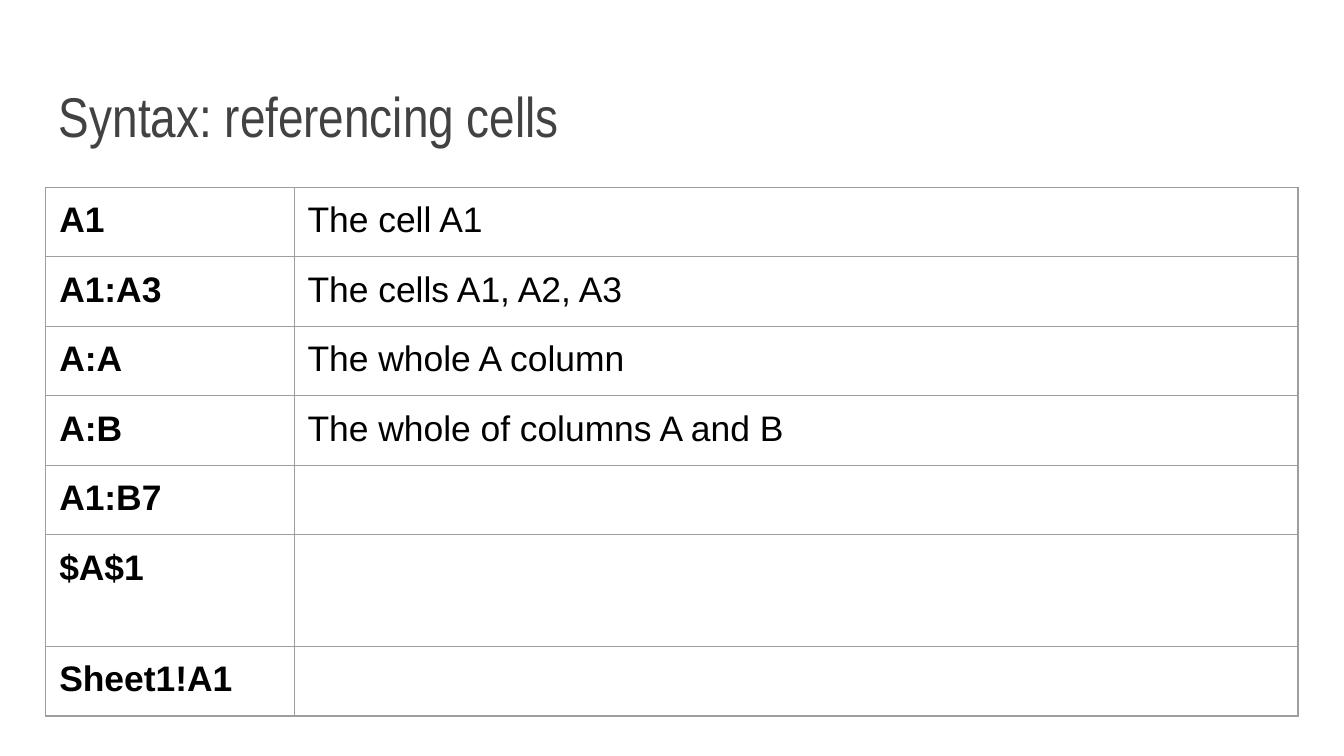
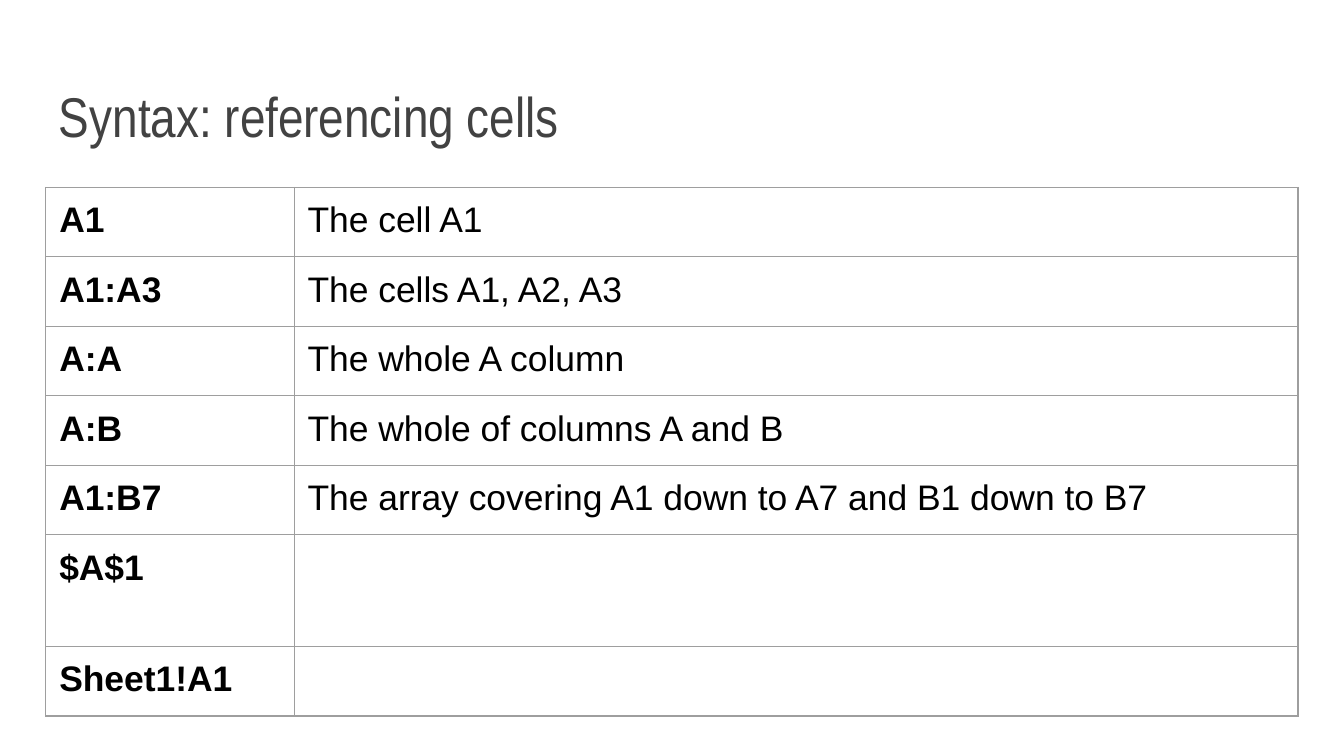
from dataclasses import dataclass, replace

import lxml.etree
import pptx
import pptx.dml.color
import pptx.enum.text
import pptx.oxml.ns
import pptx.presentation
import pptx.slide
import pptx.table
import pptx.text.text
import pptx.util

SLIDE_WIDTH = pptx.util.Inches(10)
SLIDE_HEIGHT = pptx.util.Emu(SLIDE_WIDTH * 9 // 16)
INSET = pptx.util.Inches(0.1)

# Horizontal lengths are percentages of the slide width.
MARGIN = 3.41
COLUMN_WIDTHS = (18.48, 74.7)

TITLE_TOP = pptx.util.Inches(0.41)
TITLE_HEIGHT = pptx.util.Inches(0.8)
TABLE_TOP = pptx.util.Pt(100.4)
ROW_HEIGHT = pptx.util.Pt(37.2)

WHITE = pptx.dml.color.RGBColor(0xFF, 0xFF, 0xFF)
BLACK = pptx.dml.color.RGBColor(0x00, 0x00, 0x00)
TITLE_GRAY = pptx.dml.color.RGBColor(0x42, 0x42, 0x42)
BORDER_GRAY = pptx.dml.color.RGBColor(0x9E, 0x9E, 0x9E)
BORDER_WIDTH = pptx.util.Pt(0.75)

TITLE = "Syntax: referencing cells"


@dataclass(frozen=True)
class Reference:
    syntax: str
    meaning: str = ""
    height_in_rows: float = 1


REFERENCES = (
    Reference("A1", "The cell A1"),
    Reference("A1:A3", "The cells A1, A2, A3"),
    Reference("A:A", "The whole A column"),
    Reference("A:B", "The whole of columns A and B"),
    Reference("A1:B7"),
    Reference("$A$1", height_in_rows=1.61),
    Reference("Sheet1!A1"),
)
ANSWERS = {"A1:B7": "The array covering A1 down to A7 and B1 down to B7"}


def across(percentage: float) -> pptx.util.Emu:
    return pptx.util.Emu(round(SLIDE_WIDTH * percentage / 100))


def write_text(
    frame: pptx.text.text.TextFrame,
    text: str,
    *,
    size: float = 19,
    font: str = "Arial",
    color: pptx.dml.color.RGBColor = BLACK,
    bold: bool = False,
) -> None:
    run = frame.paragraphs[0].add_run()
    run.text = text
    run.font.size = pptx.util.Pt(size)
    run.font.name = font
    run.font.color.rgb = color
    run.font.bold = bold


def set_insets(target: pptx.text.text.TextFrame | pptx.table._Cell) -> None:
    target.margin_left = target.margin_right = INSET
    target.margin_top = target.margin_bottom = INSET


def add_borders(cell: pptx.table._Cell) -> None:
    properties = cell._tc.get_or_add_tcPr()
    qualified = pptx.oxml.ns.qn
    for side in ("lnL", "lnR", "lnT", "lnB"):
        line = lxml.etree.SubElement(
            properties, qualified(f"a:{side}"), w=str(BORDER_WIDTH)
        )
        fill = lxml.etree.SubElement(line, qualified("a:solidFill"))
        lxml.etree.SubElement(fill, qualified("a:srgbClr"), val=str(BORDER_GRAY))


def add_title(slide: pptx.slide.Slide, text: str) -> None:
    shape = slide.shapes.add_textbox(
        across(MARGIN), TITLE_TOP, across(sum(COLUMN_WIDTHS)), TITLE_HEIGHT
    )
    frame = shape.text_frame
    frame.word_wrap = True
    frame.vertical_anchor = pptx.enum.text.MSO_ANCHOR.BOTTOM
    set_insets(frame)
    write_text(frame, text, size=30, font="Arial Narrow", color=TITLE_GRAY)


def add_reference_table(
    slide: pptx.slide.Slide, references: tuple[Reference, ...]
) -> None:
    heights = [round(ROW_HEIGHT * item.height_in_rows) for item in references]
    table = slide.shapes.add_table(
        len(references),
        len(COLUMN_WIDTHS),
        across(MARGIN),
        TABLE_TOP,
        across(sum(COLUMN_WIDTHS)),
        pptx.util.Emu(sum(heights)),
    ).table
    table.first_row = table.horz_banding = False
    for column, width in zip(table.columns, COLUMN_WIDTHS):
        column.width = across(width)
    for row, height, reference in zip(table.rows, heights, references):
        row.height = pptx.util.Emu(height)
        for cell, text, bold in zip(
            row.cells, (reference.syntax, reference.meaning), (True, False)
        ):
            set_insets(cell)
            add_borders(cell)
            cell.fill.background()
            if text:
                write_text(cell.text_frame, text, bold=bold)


def add_reference_slide(
    presentation: pptx.presentation.Presentation, references: tuple[Reference, ...]
) -> None:
    slide = presentation.slides.add_slide(presentation.slide_layouts[6])
    slide.background.fill.solid()
    slide.background.fill.fore_color.rgb = WHITE
    add_title(slide, TITLE)
    add_reference_table(slide, references)


def main() -> None:
    presentation = pptx.Presentation()
    presentation.slide_width = SLIDE_WIDTH
    presentation.slide_height = SLIDE_HEIGHT
    answered = tuple(
        replace(item, meaning=ANSWERS.get(item.syntax, item.meaning))
        for item in REFERENCES
    )
    for references in (REFERENCES, answered):
        add_reference_slide(presentation, references)
    presentation.save("out.pptx")


if __name__ == "__main__":
    main()
